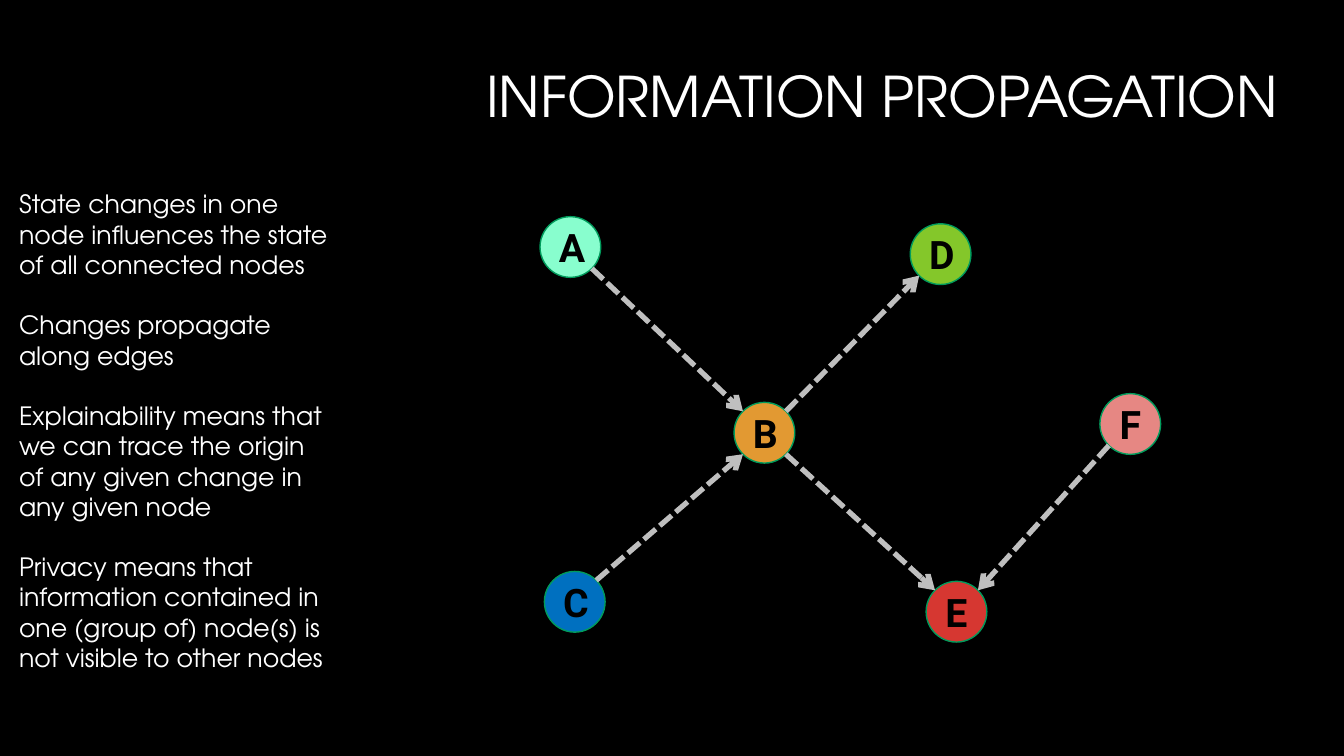
"""Build the slide on information propagation through a directed graph."""
from math import copysign, sqrt

from lxml.etree import SubElement
from pptx import Presentation
from pptx.dml.color import RGBColor
from pptx.enum.dml import MSO_LINE
from pptx.enum.shapes import MSO_CONNECTOR, MSO_SHAPE
from pptx.enum.text import MSO_ANCHOR, PP_ALIGN
from pptx.oxml.ns import qn
from pptx.util import Cm, Pt

TITLE = "INFORMATION PROPAGATION"
STATEMENTS = [
    "State changes in one node influences the state of all connected nodes",
    "Changes propagate along edges",
    "Explainability means that we can trace the origin of any given change in any given node",
    "Privacy means that information contained in one (group of) node(s) is not visible to other nodes",
]
NODES = {
    "A": (13.61, 5.46, RGBColor(0x88, 0xFE, 0xCE)),
    "D": (22.94, 5.64, RGBColor(0x84, 0xC7, 0x2A)),
    "B": (18.5, 10.14, RGBColor(0xE2, 0x99, 0x32)),
    "C": (13.72, 14.4, RGBColor(0x00, 0x70, 0xC0)),
    "F": (27.72, 9.92, RGBColor(0xE6, 0x87, 0x83)),
    "E": (23.34, 14.65, RGBColor(0xD6, 0x37, 0x31)),
}
EDGES = ["AB", "CB", "BD", "FE", "BE"]

BLACK = RGBColor(0x00, 0x00, 0x00)
WHITE = RGBColor(0xFF, 0xFF, 0xFF)
OUTLINE = RGBColor(0x01, 0x9B, 0x5C)
EDGE_GREY = RGBColor(0xBF, 0xBF, 0xBF)
TEXT_FONT = "TeX Gyre Adventor"
NODE_FONT = "Roboto"
DIAMETER = 1.53
DIAGONAL = DIAMETER / 2 / sqrt(2)


def write(frame, lines, *, size, font=TEXT_FONT, color=WHITE, bold=False,
          align=PP_ALIGN.LEFT, anchor=MSO_ANCHOR.TOP, spacing=1.0, gap=0):
    """Fill a text frame with one formatted paragraph per line."""
    frame.vertical_anchor = anchor
    for index, line in enumerate(lines):
        para = frame.paragraphs[0] if index == 0 else frame.add_paragraph()
        para.alignment = align
        para.line_spacing = spacing
        if index:
            para.space_before = Pt(gap)
        span = para.add_run()
        span.text = line
        span.font.name = font
        span.font.size = Pt(size)
        span.font.bold = bold
        span.font.color.rgb = color


def add_node(page, name):
    """Draw one lettered circle."""
    left, top, fill = NODES[name]
    node = page.shapes.add_shape(MSO_SHAPE.OVAL, Cm(left), Cm(top), Cm(DIAMETER), Cm(DIAMETER))
    node.shadow.inherit = False
    node.fill.solid()
    node.fill.fore_color.rgb = fill
    node.line.color.rgb = OUTLINE
    node.line.width = Pt(1)
    write(node.text_frame, [name], size=28, font=NODE_FONT, color=BLACK, bold=True,
          align=PP_ALIGN.CENTER, anchor=MSO_ANCHOR.MIDDLE)


def add_edge(page, source, target):
    """Draw a dashed arrow between the facing diagonal points of two nodes."""
    starts, ends = [], []
    for begin, end in zip(NODES[source][:2], NODES[target][:2]):
        shift = copysign(DIAGONAL, end - begin)
        starts.append(Cm(begin + DIAMETER / 2 + shift))
        ends.append(Cm(end + DIAMETER / 2 - shift))
    edge = page.shapes.add_connector(MSO_CONNECTOR.STRAIGHT, *starts, *ends)
    edge.line.color.rgb = EDGE_GREY
    edge.line.width = Pt(3.75)
    edge.line.dash_style = MSO_LINE.SQUARE_DOT
    properties = edge._element.spPr
    SubElement(properties.find(qn("a:ln")), qn("a:tailEnd"), type="arrow")
    SubElement(properties, qn("a:effectLst"))


def main():
    """Assemble and save the deck."""
    deck = Presentation()
    deck.slide_width, deck.slide_height = Cm(33.87), Cm(19.05)
    page = deck.slides.add_slide(deck.slide_layouts[5])
    page.background.fill.solid()
    page.background.fill.fore_color.rgb = BLACK

    title = page.shapes.title
    title.left, title.top, title.width, title.height = Cm(8.53), Cm(0.71), Cm(23.93), Cm(3.58)
    write(title.text_frame, [TITLE], size=40, align=PP_ALIGN.RIGHT,
          anchor=MSO_ANCHOR.MIDDLE, spacing=0.9)

    box = page.shapes.add_textbox(Cm(0.23), Cm(4.63), Cm(8.46), Cm(14.1))
    box.text_frame.word_wrap = True
    write(box.text_frame, STATEMENTS, size=18, gap=21.6)

    for name in NODES:
        add_node(page, name)
    for source, target in EDGES:
        add_edge(page, source, target)
    deck.save("out.pptx")


if __name__ == "__main__":
    main()
